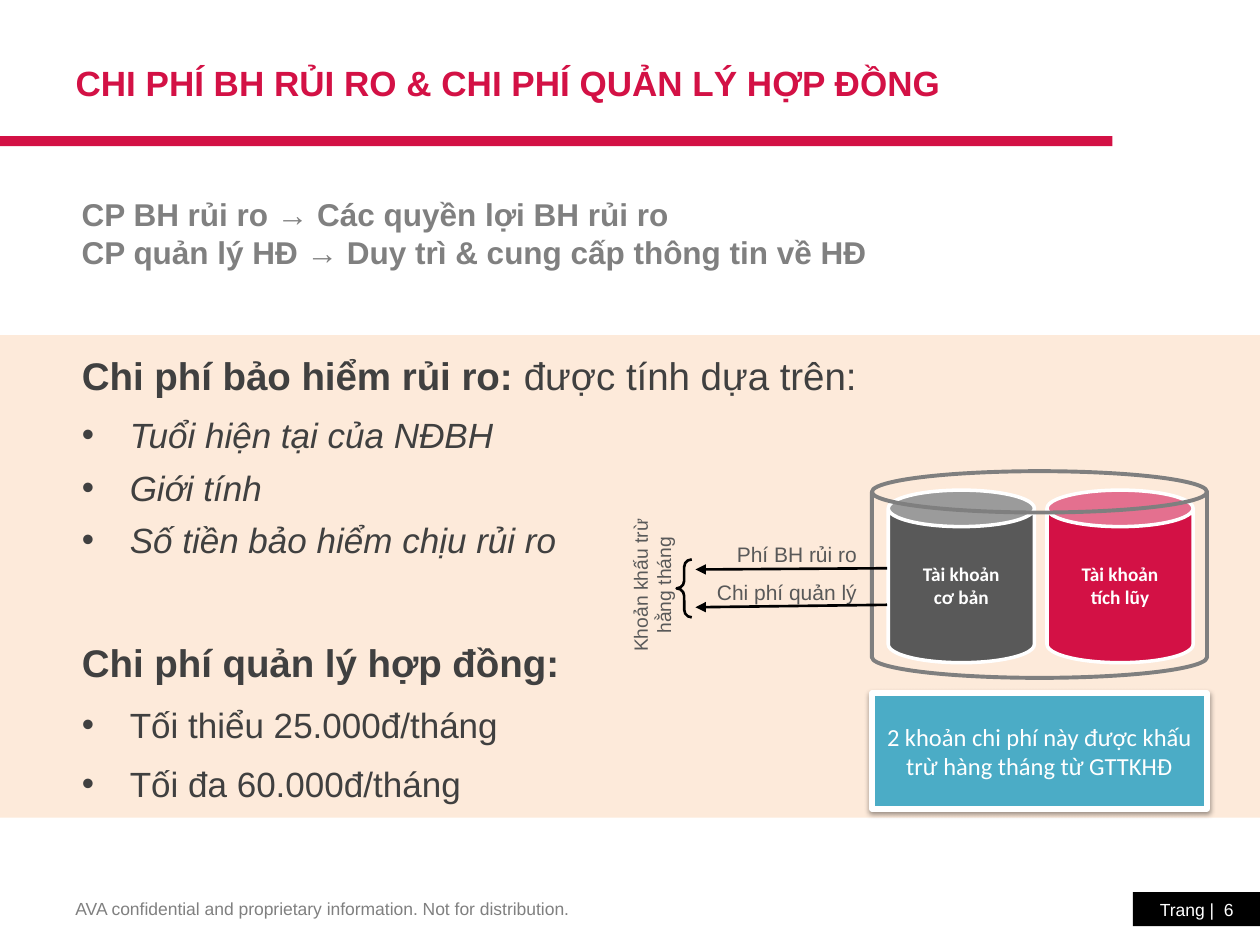
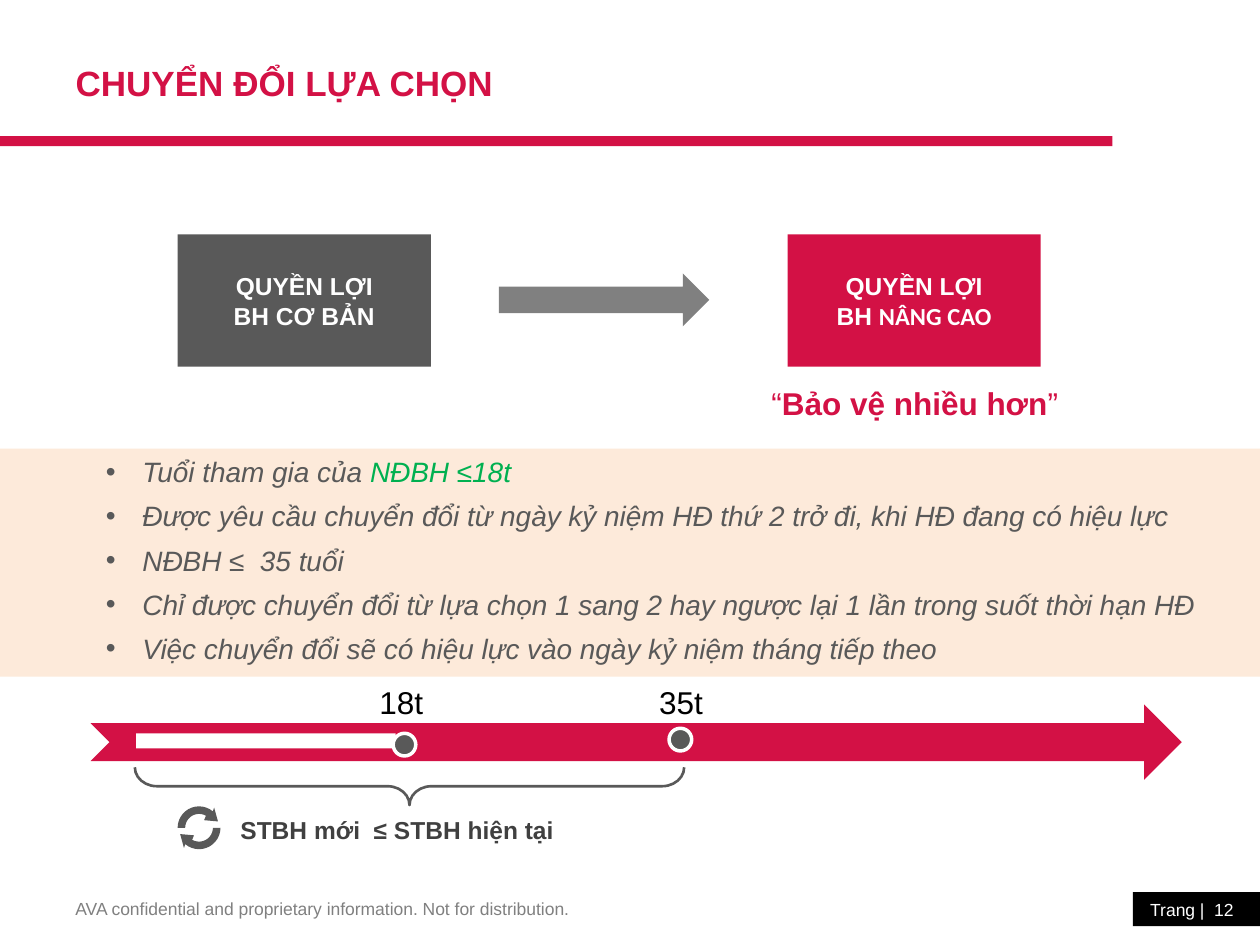
import math

from lxml import etree
from pptx import Presentation
from pptx import util as u
from pptx.dml.color import RGBColor
from pptx.enum import shapes, text
from pptx.oxml import ns

RED, DARK, GRAY, CHARCOAL = "D31145", "595959", "808080", "404040"
WHITE, BLACK, PEACH, TEAL, GREEN = "FFFFFF", "000000", "FDEADA", "4BACC6", "00B050"
LEFT, CENTER, RIGHT = text.PP_ALIGN.LEFT, text.PP_ALIGN.CENTER, text.PP_ALIGN.RIGHT
SHAPE = shapes.MSO_SHAPE
WIDTH, HEIGHT = 10, 7.5

FOOTER = "AVA confidential and proprietary information. Not for distribution."

# Costs slide
COSTS_TITLE = "CHI PHÍ BH RỦI RO & CHI PHÍ QUẢN LÝ HỢP ĐỒNG"
COSTS_SUMMARY = ["CP BH rủi ro → Các quyền lợi BH rủi ro",
                 "CP quản lý HĐ → Duy trì & cung cấp thông tin về HĐ"]
HEADING = {"size": 22, "bold": True}
FACTOR = {"size": 20, "italic": True}
LIMIT = {"size": 20}
# font, space before, space after, bulleted, text
COSTS_LIST = [
    (HEADING, 12, 6, False, [("Chi phí bảo hiểm rủi ro: ", {}),
                             ("được tính dựa trên:", {"bold": False})]),
    (FACTOR, 3, 3, True, "Tuổi hiện tại của NĐBH"),
    (FACTOR, 3, 3, True, "Giới tính"),
    (FACTOR, 3, 3, True, "Số tiền bảo hiểm chịu rủi ro"),
    (HEADING, 42, 6, False, "Chi phí quản lý hợp đồng:"),
    (LIMIT, 4, 6, True, "Tối thiểu 25.000đ/tháng"),
    (LIMIT, 4, 6, True, "Tối đa 60.000đ/tháng"),
]
ACCOUNTS = [(["Tài khoản", "cơ bản"], DARK), (["Tài khoản", "tích lũy"], RED)]
# label, label top, arrow start height, arrow end height
DEDUCTIONS = [("Phí BH rủi ro", 4.25, 4.51, 4.52),
              ("Chi phí quản lý", 4.55, 4.8, 4.82)]
DEDUCTIONS_LABEL = ["Khoản khấu trừ", "hằng tháng"]
COSTS_NOTE = "2 khoản chi phí này được khấu trừ hàng tháng từ GTTKHĐ"

# Conversion slide
CONVERSION_TITLE = "CHUYỂN ĐỔI LỰA CHỌN"
BENEFITS = [
    (1.41, DARK, ["QUYỀN LỢI", "BH CƠ BẢN"]),
    (6.25, RED, ["QUYỀN LỢI", [("BH ", {}), ("NÂNG CAO", {"name": "Calibri"})]]),
]
SLOGAN = [("“", {}), ("Bảo vệ nhiều hơn", {"bold": True}), ("”", {})]
CONDITIONS = [
    [("Tuổi tham gia của ", {}), ("NĐBH ≤18t", {"color": GREEN})],
    "Được yêu cầu chuyển đổi từ ngày kỷ niệm HĐ thứ 2 trở đi, khi HĐ đang có hiệu lực",
    "NĐBH ≤  35 tuổi",
    "Chỉ được chuyển đổi từ lựa chọn 1 sang 2 hay ngược lại 1 lần trong suốt thời hạn HĐ",
    "Việc chuyển đổi sẽ có hiệu lực vào ngày kỷ niệm tháng tiếp theo",
]
# label, label left, dot left, dot top
AGES = [("18t", 2.91, 3.12, 5.82), ("35t", 5.13, 5.31, 5.78)]
AGE_NOTE = "STBH mới  ≤ STBH hiện tại"


def rgb(color):
    return RGBColor.from_string(color)


def inches(*lengths):
    return [u.Inches(length) for length in lengths]


def set_font(font, size=None, color=None, bold=None, italic=None, name=None):
    if size:
        font.size = u.Pt(size)
    if color:
        font.color.rgb = rgb(color)
    if name:
        font.name = name
    if bold is not None:
        font.bold = bold
    if italic is not None:
        font.italic = italic


def write_paragraph(paragraph, runs, align=LEFT, **font):
    """Write a string, or (text, font changes) pairs, into one paragraph."""
    paragraph.alignment = align
    set_font(paragraph.font, **{"name": "Arial", **font})
    for words, changes in [(runs, {})] if isinstance(runs, str) else runs:
        run = paragraph.add_run()
        run.text = words
        set_font(run.font, **changes)


def paragraphs_for(frame, lines):
    """Pair each line with a paragraph of the frame."""
    for number, line in enumerate(lines):
        yield frame.add_paragraph() if number else frame.paragraphs[0], line


def write(frame, lines, **style):
    for paragraph, line in paragraphs_for(frame, lines):
        write_paragraph(paragraph, line, **style)


def set_list_style(paragraph, before, after, bulleted, indent):
    properties = paragraph._p.get_or_add_pPr()
    hang = u.Inches(indent) if bulleted else 0
    properties.set("marL", str(hang))
    properties.set("indent", str(-hang))
    bullet = etree.SubElement(properties, ns.qn("a:buChar" if bulleted else "a:buNone"))
    if bulleted:
        bullet.set("char", "•")
    paragraph.space_before, paragraph.space_after = u.Pt(before), u.Pt(after)


def paint(shape, fill=None, line=None, line_width=1):
    shape.shadow.inherit = False
    if fill:
        shape.fill.solid()
        shape.fill.fore_color.rgb = rgb(fill)
    else:
        shape.fill.background()
    if line:
        shape.line.color.rgb = rgb(line)
        shape.line.width = u.Pt(line_width)
    else:
        shape.line.fill.background()
    return shape


def add_shape(slide, kind, box, fill=None, line=None, line_width=1, adjust=()):
    shape = slide.shapes.add_shape(kind, *inches(*box))
    for number, value in enumerate(adjust):
        shape.adjustments[number] = value
    return paint(shape, fill, line, line_width)


def add_text(slide, box, lines, wrap=False, anchor=text.MSO_ANCHOR.TOP, **style):
    shape = slide.shapes.add_textbox(*inches(*box))
    shape.text_frame.word_wrap = wrap
    shape.text_frame.vertical_anchor = anchor
    write(shape.text_frame, lines, **style)
    return shape


def place(placeholder, box, anchor):
    placeholder.left, placeholder.top, placeholder.width, placeholder.height = inches(*box)
    frame = placeholder.text_frame
    frame.auto_size = text.MSO_AUTO_SIZE.NONE
    frame.vertical_anchor = anchor
    return frame


def add_slide(presentation, title, page, band_top, band_height):
    """Add a slide with its title, red rule, peach band and footer."""
    slide = presentation.slides.add_slide(presentation.slide_layouts[1])
    frame = place(slide.shapes.title, (0.5, 0.23, 8.41, 0.85), text.MSO_ANCHOR.MIDDLE)
    write(frame, [title], size=20, color=RED, bold=True)
    band = add_shape(slide, SHAPE.RECTANGLE, (0, band_top, WIDTH, band_height), PEACH)
    slide.shapes.element.insert(2, band.element)
    add_shape(slide, SHAPE.RECTANGLE, (0, 1.08, 8.83, 0.08), RED)
    add_text(slide, (0.5, 7.08, 4.12, 0.27), [FOOTER], size=10, color=GRAY)
    tag = add_shape(slide, SHAPE.RECTANGLE, (8.99, 7.08, 1.01, 0.27), BLACK)
    tag.text_frame.margin_right = u.Inches(0.21)
    tag.text_frame.word_wrap = False
    write(tag.text_frame, [f"Trang |  {page}"], align=RIGHT, size=10, color=WHITE)
    return slide


def add_arrow(slide, start, end):
    arrow = slide.shapes.add_connector(shapes.MSO_CONNECTOR.STRAIGHT, *inches(*start, *end))
    arrow.line.color.rgb = rgb(BLACK)
    arrow.line.width = u.Pt(1.5)
    etree.SubElement(arrow.line._get_or_add_ln(), ns.qn("a:tailEnd"), type="triangle")
    etree.SubElement(arrow.element.spPr, ns.qn("a:effectLst"))


def add_drop_shadow(shape):
    effects = shape.element.spPr.find(ns.qn("a:effectLst"))
    shadow = etree.SubElement(effects, ns.qn("a:outerShdw"), blurRad=str(u.Pt(3.1)),
                              dist=str(u.Pt(1.6)), dir="5400000", rotWithShape="0")
    color = etree.SubElement(shadow, ns.qn("a:srgbClr"), val=BLACK)
    etree.SubElement(color, ns.qn("a:alpha"), val="38000")


def add_cycle_icon(slide, center_x, center_y):
    """Draw two curved arrows, each the other turned by half a circle."""
    def arc(radius, angles):
        return [(radius * math.cos(math.radians(angle)),
                 -radius * math.sin(math.radians(angle))) for angle in angles]

    head = [(0.12, -0.16), (0.15, -0.05), (0.04, -0.06)]
    outline = arc(0.17, range(180, 49, -10)) + head + arc(0.11, range(60, 181, 10))
    for turn in (1, -1):
        points = [inches(center_x + turn * x, center_y + turn * y) for x, y in outline]
        builder = slide.shapes.build_freeform(*points[0])
        builder.add_line_segments(points[1:])
        paint(builder.convert_to_shape(), DARK)


def build_costs(presentation):
    slide = add_slide(presentation, COSTS_TITLE, 6, 2.66, 3.83)
    add_text(slide, (0.55, 1.49, 7.73, 0.71), COSTS_SUMMARY, wrap=True,
             anchor=text.MSO_ANCHOR.MIDDLE, size=18, color=GRAY, bold=True)
    frame = place(slide.placeholders[1], (0.55, 2.74, 9.45, 3.74), text.MSO_ANCHOR.TOP)
    for paragraph, (font, before, after, bulleted, runs) in paragraphs_for(frame, COSTS_LIST):
        set_list_style(paragraph, before, after, bulleted, 0.38)
        write_paragraph(paragraph, runs, color=CHARCOAL, **font)

    for column, (name, color) in enumerate(ACCOUNTS):
        can = add_shape(slide, SHAPE.CAN, (7.05 + 1.26 * column, 3.89, 1.16, 1.37),
                        color, WHITE, 2)
        can.text_frame.vertical_anchor = text.MSO_ANCHOR.MIDDLE
        write(can.text_frame, name, align=CENTER, size=11, color=WHITE, bold=True,
              name="Calibri")
    add_shape(slide, SHAPE.CAN, (6.92, 3.74, 2.66, 1.64), None, "7F7F7F", 2.25, [0.2])

    add_shape(slide, SHAPE.LEFT_BRACE, (5.37, 4.44, 0.12, 0.46), None, BLACK, 1.5, [0.5, 0.5])
    label = add_text(slide, (4.52, 4.41, 1.31, 0.47), DEDUCTIONS_LABEL,
                     align=CENTER, size=11, color=DARK)
    label.rotation = 270
    for name, top, start, end in DEDUCTIONS:
        add_text(slide, (5.58, top, 1.32, 0.3), [name], align=RIGHT, size=12, color=DARK)
        add_arrow(slide, (7.04, start), (5.52, end))

    note = add_shape(slide, SHAPE.RECTANGLE, (6.92, 5.5, 2.66, 0.92), TEAL, WHITE, 3)
    add_drop_shadow(note)
    write(note.text_frame, [COSTS_NOTE], align=CENTER, size=14, color=WHITE, name="Calibri")


def build_conversion(presentation):
    slide = add_slide(presentation, CONVERSION_TITLE, 12, 3.56, 1.81)
    for left, color, name in BENEFITS:
        box = add_shape(slide, SHAPE.RECTANGLE, (left, 1.86, 2.01, 1.05), color)
        write(box.text_frame, name, align=CENTER, size=14, color=WHITE, bold=True)
    add_shape(slide, SHAPE.RIGHT_ARROW, (3.96, 2.17, 1.67, 0.42), GRAY)
    add_text(slide, (5.5, 3, 3.52, 0.4), [SLOGAN], wrap=True, align=CENTER,
             anchor=text.MSO_ANCHOR.MIDDLE, size=18, color=RED)

    frame = place(slide.placeholders[1], (0.74, 3.56, 9.26, 1.78), text.MSO_ANCHOR.TOP)
    for paragraph, runs in paragraphs_for(frame, CONDITIONS):
        set_list_style(paragraph, 3, 3, True, 0.29)
        write_paragraph(paragraph, runs, size=16, color=DARK, italic=True)

    add_shape(slide, SHAPE.NOTCHED_RIGHT_ARROW, (0.72, 5.59, 8.66, 0.6), RED)
    add_shape(slide, SHAPE.RECTANGLE, (1.08, 5.82, 2.06, 0.12), WHITE)
    for age, label_left, dot_left, dot_top in AGES:
        add_text(slide, (label_left, 5.37, 0.55, 0.4), [age], align=CENTER,
                 size=18, color=BLACK)
        add_shape(slide, SHAPE.OVAL, (dot_left, dot_top, 0.18, 0.18), DARK, WHITE, 2)
    brace = add_shape(slide, SHAPE.RIGHT_BRACE, (3.1, 4.06, 0.3, 4.36), None, DARK, 1.5,
                      [0.58, 0.5])
    brace.rotation = 90
    add_cycle_icon(slide, 1.58, 6.57)
    add_text(slide, (1.81, 6.42, 2.71, 0.34), [AGE_NOTE], size=14, color=CHARCOAL, bold=True)


def main():
    presentation = Presentation()
    presentation.slide_width, presentation.slide_height = inches(WIDTH, HEIGHT)
    build_costs(presentation)
    build_conversion(presentation)
    presentation.save("out.pptx")


if __name__ == "__main__":
    main()
